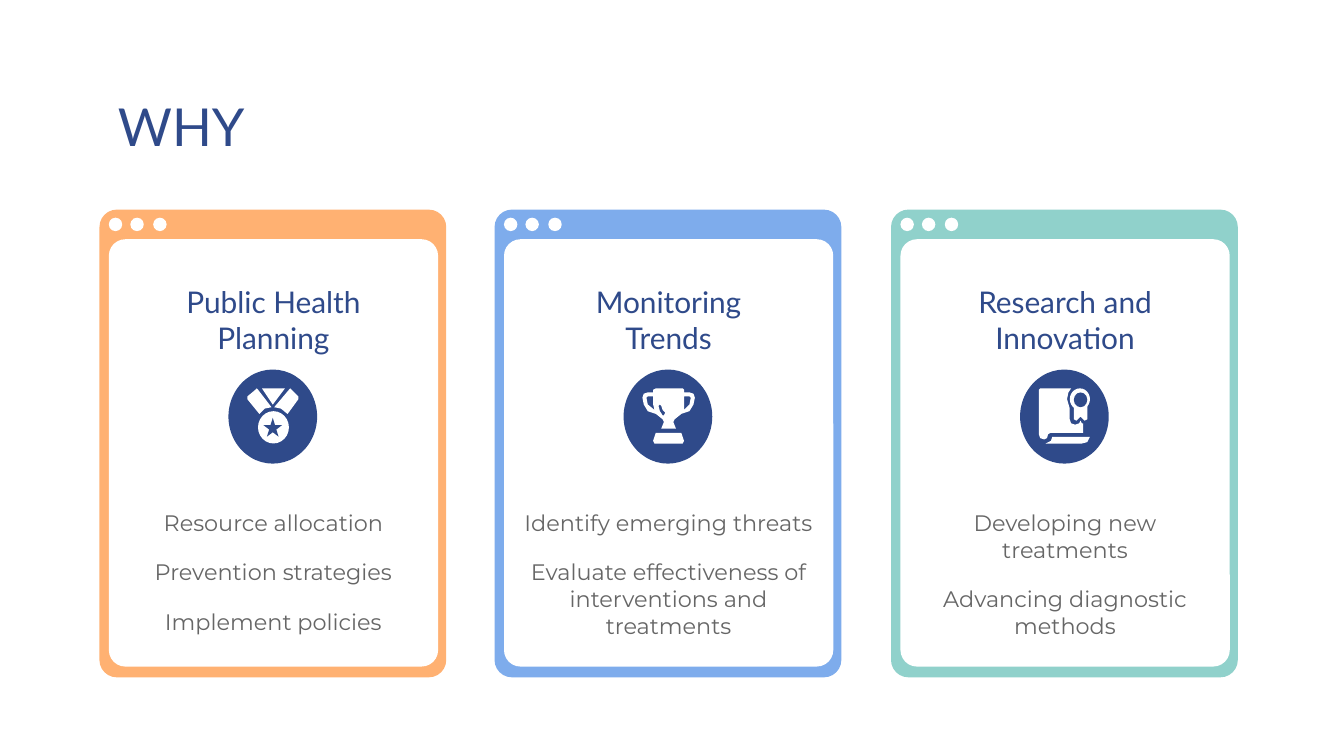
from pptx import Presentation
from pptx.dml.color import RGBColor
from pptx.enum.shapes import MSO_SHAPE
from pptx.enum.text import MSO_ANCHOR, PP_ALIGN
from pptx.util import Inches, Pt

ROUNDED, OVAL, STAR = MSO_SHAPE.ROUNDED_RECTANGLE, MSO_SHAPE.OVAL, MSO_SHAPE.STAR_5_POINT
LEFT, CENTER, TOP = PP_ALIGN.LEFT, PP_ALIGN.CENTER, MSO_ANCHOR.TOP
NAVY, WHITE, GRAY = "2F4A8A", "FFFFFF", "666666"


def paint(shape, color):
    shape.fill.solid()
    shape.fill.fore_color.rgb = RGBColor.from_string(color)
    shape.line.fill.background()
    shape.shadow.inherit = False


def add_text(left, top, width, height, lines, font, size, color, align, after=0):
    box = page.shapes.add_textbox(Inches(left), Inches(top), Inches(width), Inches(height))
    frame = box.text_frame
    frame.word_wrap = True
    frame.vertical_anchor = TOP
    frame.margin_left = frame.margin_right = Inches(0.1)
    frame.margin_top = frame.margin_bottom = Inches(0.1)
    for index, line in enumerate(lines):
        para = frame.paragraphs[0] if index == 0 else frame.add_paragraph()
        para.text = line
        para.alignment = align
        para.space_after = Pt(after)
        para.font.name = font
        para.font.size = Pt(size)
        para.font.color.rgb = RGBColor.from_string(color)


# Widescreen 16:9 page
deck = Presentation()
deck.slide_width = Inches(10)
deck.slide_height = Inches(10) * 9 // 16
page = deck.slides.add_slide(deck.slide_layouts[6])
shapes = page.shapes

add_text(0.78, 0.6, 8.44, 0.51, ["WHY"], "Lato", 28, NAVY, LEFT)

# Three browser-window cards
cards = [
    (0.74, "FFB172", "Public Health Planning",
     ["Resource allocation", "Prevention strategies", "Implement policies"]),
    (3.68, "7EACEC", "Monitoring\vTrends",
     ["Identify emerging threats",
      "Evaluate effectiveness of interventions and treatments"]),
    (6.63, "90D1CB", "Research and Innovation",
     ["Developing new treatments", "Advancing diagnostic methods"]),
]
for left, color, heading, points in cards:
    parts = [
        (ROUNDED, 0, 1.56, 2.58, 3.48, color),
        (ROUNDED, 0.07, 1.78, 2.45, 3.18, WHITE),
        (OVAL, 0.07, 1.62, 0.1, 0.1, WHITE),
        (OVAL, 0.23, 1.62, 0.1, 0.1, WHITE),
        (OVAL, 0.4, 1.62, 0.1, 0.1, WHITE),
        (OVAL, 0.96, 2.75, 0.66, 0.7, NAVY),
    ]
    for kind, offset, top, width, height, fill in parts:
        part = shapes.add_shape(kind, Inches(left + offset), Inches(top),
                                Inches(width), Inches(height))
        paint(part, fill)
        if kind == ROUNDED:
            part.adjustments[0] = 0.05
    add_text(left + 0.11, 2.01, 2.37, 0.51, [heading], "Lato", 16, NAVY, CENTER)
    add_text(left + 0.11, 3.69, 2.37, 0.84, points, "Montserrat", 12, GRAY, CENTER, 12)

# Icon outlines in hundredths of an inch; later contours in an outline are holes
outlines = [
    # Medal ribbons
    [[(195, 289), (212, 289), (203, 301)]],
    [[(216, 289), (215, 290), (204, 303), (209, 304), (214, 308), (222, 297), (222, 295),
      (217, 290)]],
    [[(191, 289), (190, 290), (184, 295), (184, 297), (193, 308), (197, 304), (202, 303),
      (192, 290)]],
    # Trophy cup with handles and highlight
    [[(488, 289), (508, 289), (509, 290), (509, 292), (513, 292), (516, 293), (517, 296),
      (516, 301), (513, 306), (507, 308), (502, 312), (501, 314), (503, 319), (492, 319),
      (494, 314), (493, 312), (488, 308), (482, 306), (479, 301), (478, 296), (479, 293),
      (482, 292), (486, 292), (486, 290)],
     [(513, 295), (514, 296), (513, 301), (509, 305), (509, 295)],
     [(486, 295), (486, 301), (487, 305), (482, 301), (481, 296), (482, 295)],
     [(491, 301), (492, 302), (493, 305), (495, 307), (494, 309), (493, 309), (491, 306),
      (490, 302)]],
    # Trophy base
    [[(488, 322), (507, 322), (509, 328), (508, 330), (487, 330), (486, 328)]],
    # Certificate ribbon tails
    [[(799, 301), (809, 301), (809, 312), (807, 313), (804, 310), (801, 313), (799, 312)]],
    # Certificate bottom roll
    [[(783, 325), (811, 325), (809, 329), (805, 330), (778, 330), (782, 328)]],
    # Certificate sheet
    [[(774, 289), (797, 289), (795, 292), (794, 297), (796, 304), (796, 312), (797, 315),
      (800, 316), (803, 315), (804, 313), (805, 315), (806, 315), (806, 322), (782, 322),
      (780, 323), (779, 326), (777, 327), (774, 326), (773, 323), (773, 290)]],
]
for contours in outlines:
    builder = shapes.build_freeform(*contours[0][0], scale=Inches(0.01))
    builder.add_line_segments(contours[0][1:])
    for hole in contours[1:]:
        builder.move_to(*hole[0])
        builder.add_line_segments(hole[1:])
    paint(builder.convert_to_shape(), WHITE)

# Round icon parts: medal disc and star, certificate seal and its centre
for kind, left, top, width, height, fill in [
    (OVAL, 1.92, 3.06, 0.23, 0.24, WHITE),
    (STAR, 1.96, 3.11, 0.14, 0.14, NAVY),
    (OVAL, 7.96, 2.89, 0.15, 0.16, WHITE),
    (OVAL, 7.99, 2.92, 0.1, 0.11, NAVY),
]:
    paint(shapes.add_shape(kind, Inches(left), Inches(top), Inches(width), Inches(height)), fill)

deck.save("out.pptx")
